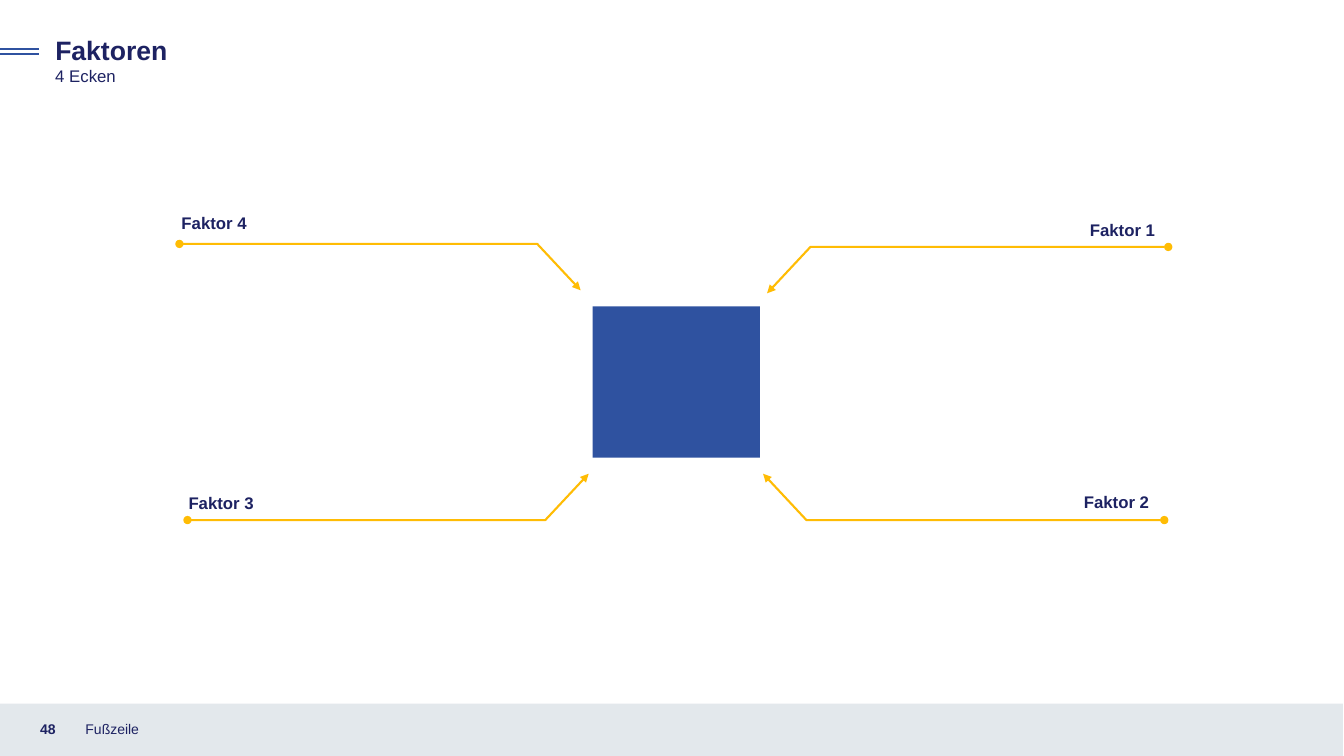
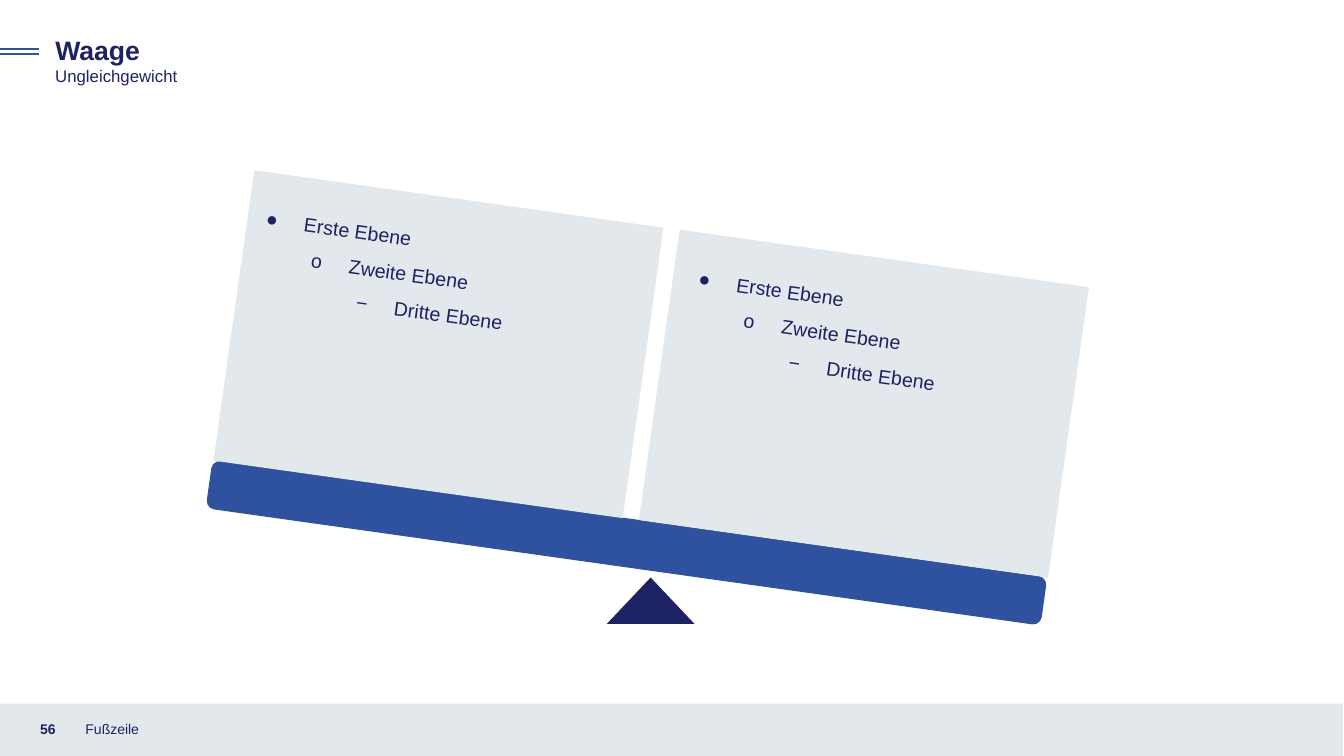
from pptx import Presentation, util as u
from pptx.dml.color import RGBColor
from pptx.enum import shapes, text as txt
from pptx.oxml import ns
from lxml import etree

CELL = u.Inches(0.1)
COLS, ROWS = 133.33, 75
FONT = "Arial"
HUES = {"navy": "1D2262", "blue": "2F52A0", "edge": "325491",
        "grey": "E3E8EC", "gold": "FFBC04"}
KINDS = shapes.MSO_SHAPE
LEFT, RIGHT = txt.PP_ALIGN.LEFT, txt.PP_ALIGN.RIGHT
TOP, MID = txt.MSO_ANCHOR.TOP, txt.MSO_ANCHOR.MIDDLE
TILT = 8
LEVELS = [("●", "Erste Ebene"), ("o", "Zweite Ebene"), ("−", "Dritte Ebene")]
FACTORS = [
    ("Faktor 4", (57.6, 28.8), -1, -1, (18, 21.1)),
    ("Faktor 3", (58.4, 47), -1, 1, (18.7, 48.9)),
    ("Faktor 1", (76.1, 29.1), 1, -1, (80.8, 21.8)),
    ("Faktor 2", (75.7, 47), 1, 1, (80.2, 48.8)),
]
PANELS = [((23, 19.6), (23.9, 21.3)), ((65.2, 25.5), (66.8, 27.3))]


def grid(*cells):
    return [round(c * CELL) for c in cells]


def hue(name):
    return RGBColor.from_string(HUES[name])


def node(parent, tag, **attrs):
    return etree.SubElement(parent, ns.qn(tag), **attrs)


def stroke(line, name, width):
    line.color.rgb = hue(name)
    line.width = u.Pt(width)


def block(slide, kind, box, fill, turn=0, edge=None):
    shape = slide.shapes.add_shape(kind, *grid(*box))
    shape.shadow.inherit = False
    shape.fill.solid()
    shape.fill.fore_color.rgb = hue(fill)
    shape.rotation = turn
    if edge:
        stroke(shape.line, edge, 1)
    else:
        shape.line.fill.background()


def bullet(para, level, mark):
    para.level = level
    props = para._p.get_or_add_pPr()
    props.set("marL", str(u.Inches(0.38 + level / 2)))
    props.set("indent", str(u.Inches(-0.38)))
    node(node(props, "a:buClr"), "a:srgbClr", val=HUES["navy"])
    node(props, "a:buFont", typeface=FONT)
    node(props, "a:buChar", char=mark)


def write(slide, box, lines, size=12, bold=False, align=LEFT, anchor=TOP,
          inset=True, turn=0, marks=(), lead=None):
    shape = slide.shapes.add_textbox(*grid(*box))
    shape.rotation = turn
    frame = shape.text_frame
    frame.word_wrap = True
    frame.vertical_anchor = anchor
    if not inset:
        frame.margin_left = frame.margin_right = 0
        frame.margin_top = frame.margin_bottom = 0
    for i, line in enumerate(lines):
        para = frame.paragraphs[0] if i == 0 else frame.add_paragraph()
        if marks:
            bullet(para, i, marks[i])
        para.alignment = align
        if lead:
            para.line_spacing = lead
        run = para.add_run()
        run.text = line
        run.font.name = FONT
        run.font.size = u.Pt(size)
        run.font.bold = bold
        run.font.color.rgb = hue("navy")


def rule(slide, row, width):
    line = slide.shapes.add_connector(
        shapes.MSO_CONNECTOR.STRAIGHT, *grid(0, row, width, row))
    stroke(line.line, "blue", 1.5)
    node(line._element.spPr, "a:effectLst")


def arrow(slide, tip, side, drop):
    x, y = tip
    knee = x + side * 4.3, y + drop * 4.6
    end = knee[0] + side * 35.5, knee[1]
    path = slide.shapes.build_freeform(*grid(*tip))
    path.add_line_segments([grid(*knee), grid(*end)], close=False)
    shape = path.convert_to_shape()
    shape.shadow.inherit = False
    shape.fill.background()
    stroke(shape.line, "gold", 1.5)
    line = shape._element.spPr.find(ns.qn("a:ln"))
    node(line, "a:headEnd", type="triangle")
    node(line, "a:tailEnd", type="oval")


def page(deck, number, title, subtitle):
    slide = deck.slides.add_slide(deck.slide_layouts[6])
    block(slide, KINDS.RECTANGLE, (-0.1, 69.8, COLS, 5.5), "grey")
    write(slide, (3, 70.3, 4.5, 4), [number], size=10, bold=True, anchor=MID)
    write(slide, (7.5, 70.3, 45, 4), ["Fußzeile"], size=10, anchor=MID)
    write(slide, (4.5, 2.9, 77.2, 4.2), [title], size=19, bold=True)
    write(slide, (4.5, 6, 34.6, 3), [subtitle])
    for row in (4.9, 5.4):
        rule(slide, row, 3.9)
    return slide


def factors(deck):
    slide = page(deck, "48", "Faktoren", "4 Ecken")
    for name, tip, side, drop, place in FACTORS:
        write(slide, (*place, 33.8, 2), [name], bold=True, anchor=MID,
              inset=False, align=RIGHT if side > 0 else LEFT)
        arrow(slide, tip, side, drop)
    block(slide, KINDS.RECTANGLE, (58.8, 30.4, 16.6, 15), "blue")


def scale(deck):
    slide = page(deck, "56", "Waage", "Ungleichgewicht")
    block(slide, KINDS.ISOSCELES_TRIANGLE, (60.2, 57.3, 8.7, 4.6), "navy")
    block(slide, KINDS.ROUNDED_RECTANGLE, (20.4, 51.5, 83.5, 4.7), "blue",
          turn=TILT, edge="edge")
    marks, lines = zip(*LEVELS)
    for panel, place in PANELS:
        block(slide, KINDS.RECTANGLE, (*panel, 41, 29.1), "grey", turn=TILT)
        write(slide, (*place, 38.6, 25.2), lines, size=14, turn=TILT,
              marks=marks, lead=1.5)


def main():
    deck = Presentation()
    deck.slide_width, deck.slide_height = grid(COLS, ROWS)
    factors(deck)
    scale(deck)
    deck.save("out.pptx")


if __name__ == "__main__":
    main()
